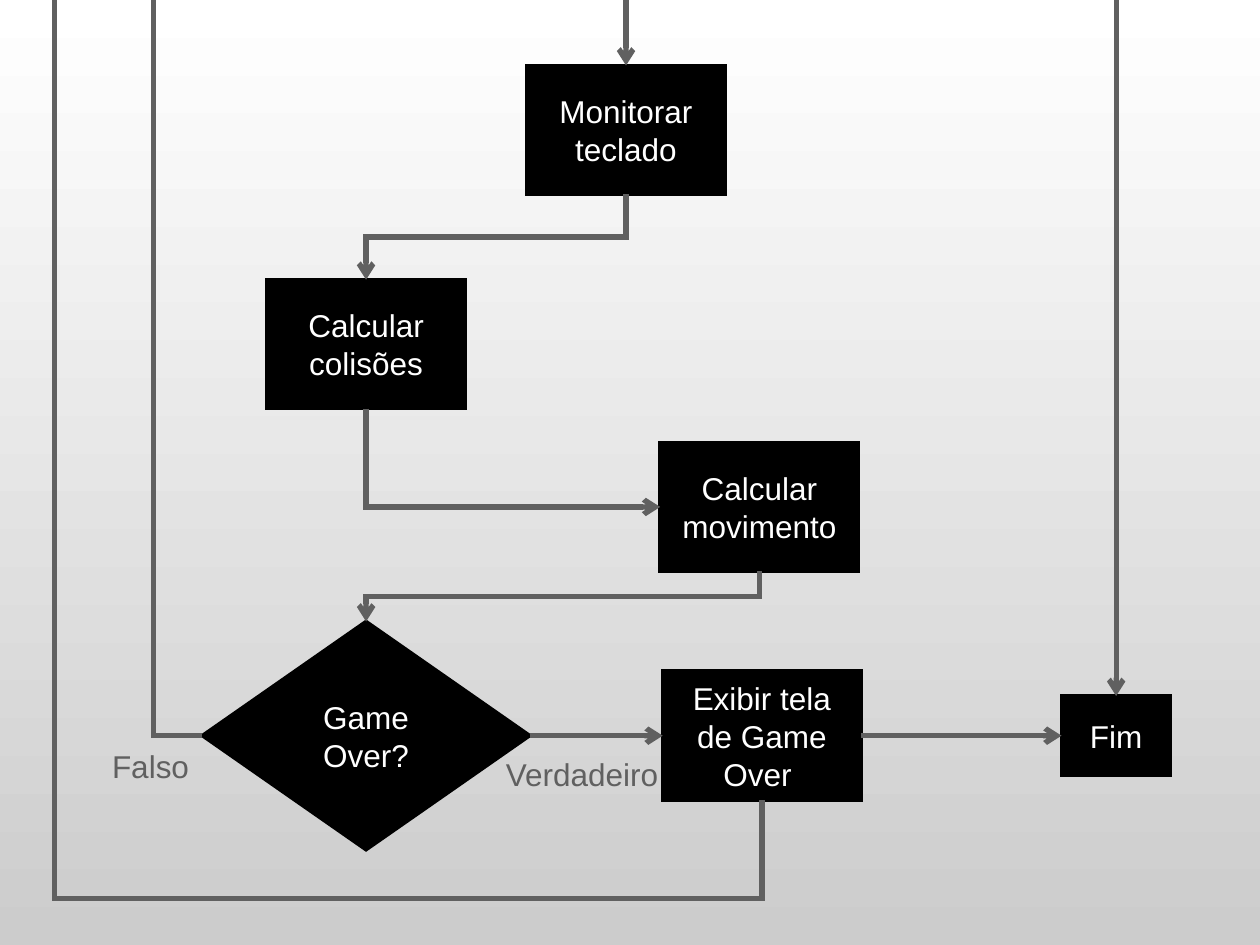
from collections import namedtuple

from lxml.etree import SubElement
from pptx import Presentation
from pptx.dml.color import RGBColor
from pptx.enum.shapes import MSO_CONNECTOR as LINK, MSO_SHAPE as SHAPE
from pptx.enum.text import (MSO_ANCHOR as ANCHOR, MSO_AUTO_SIZE as FIT,
                            PP_ALIGN as ALIGN)
from pptx.oxml.ns import qn
from pptx.util import Cm, Pt

COLORS = {"node": "000000", "node_text": "FFFFFF", "link": "606060",
          "page_top": "FFFFFF", "page_bottom": "CCCCCC"}
FONT, TEXT_SIZE = "Arial", 18

# Edge midpoints of a node, as (x, y) in centimetres
Ports = namedtuple("Ports", "top bottom left right")


def color(name):
    """Return a palette colour."""
    return RGBColor.from_string(COLORS[name])


def paint_background(page):
    """Fill the page with a gradient running from top to bottom."""
    fill = page.background.fill
    fill.gradient()
    fill.gradient_angle = 270
    for stop, name in zip(fill.gradient_stops, ("page_top", "page_bottom")):
        stop.color.rgb = color(name)


def add_text(box, text, color_name, align):
    """Write one formatted run into a shape."""
    para = box.text_frame.paragraphs[0]
    para.alignment = align
    span = para.add_run()
    span.text = text
    span.font.name = FONT
    span.font.size = Pt(TEXT_SIZE)
    span.font.color.rgb = color(color_name)


def style_stroke(item, color_name, points):
    """Give an outline its colour, width and sharp corners."""
    item.line.color.rgb = color(color_name)
    item.line.width = Pt(points)
    stroke = item.element.spPr.find(qn("a:ln"))
    SubElement(stroke, qn("a:miter"), lim="800000")
    return stroke


def add_node(page, text, x, y, width=4, height=2.6, kind=SHAPE.RECTANGLE):
    """Draw a flowchart node centred on x, y and return its ports."""
    left, top = x - width / 2, y - height / 2
    box = page.shapes.add_shape(kind, Cm(left), Cm(top), Cm(width), Cm(height))
    box.shadow.inherit = False
    box.fill.solid()
    box.fill.fore_color.rgb = color("node")
    style_stroke(box, "node", 2)
    box.text_frame.word_wrap = True
    box.text_frame.vertical_anchor = ANCHOR.MIDDLE
    add_text(box, text, "node_text", ALIGN.CENTER)
    return Ports((x, top), (x, top + height), (left, y), (left + width, y))


def add_label(page, text, left, top, width):
    """Add a one-line caption for a branch of the decision."""
    box = page.shapes.add_textbox(Cm(left), Cm(top), Cm(width), Cm(1.02))
    box.text_frame.word_wrap = False
    box.text_frame.auto_size = FIT.SHAPE_TO_FIT_TEXT
    add_text(box, text, "link", ALIGN.LEFT)


def style_link(link, arrow):
    """Give a connector its stroke and, if asked, an arrowhead."""
    stroke = style_stroke(link, "link", 3)
    if arrow:
        SubElement(stroke, qn("a:tailEnd"), type="arrow")
    SubElement(link.element.spPr, qn("a:effectLst"))


def add_straight(page, start, end):
    """Draw a straight arrow."""
    ends = [Cm(value) for value in (*start, *end)]
    style_link(page.shapes.add_connector(LINK.STRAIGHT, *ends), True)


def add_elbow(page, start, end, turn, flip=None, bend=None, arrow=True):
    """Draw an elbow turned by 90, 180 or 270 degrees.

    bend is the place of the middle segment; without it there is one corner.
    """
    width, height = abs(end[0] - start[0]), abs(end[1] - start[1])
    if turn != 180:
        width, height = height, width
    x, y = (start[0] + end[0]) / 2, (start[1] + end[1]) / 2
    link = page.shapes.add_connector(
        LINK.ELBOW, Cm(x - width / 2), Cm(y - height / 2),
        Cm(x + width / 2), Cm(y + height / 2))
    frame = link.element.spPr.find(qn("a:xfrm"))
    frame.set("rot", str(turn * 60000))
    if flip:
        frame.set(flip, "1")
    geometry = link.element.spPr.find(qn("a:prstGeom"))
    if bend is None:
        geometry.set("prst", "bentConnector2")
    else:
        guides = geometry.find(qn("a:avLst"))
        if guides is None:
            guides = SubElement(geometry, qn("a:avLst"))
        SubElement(guides, qn("a:gd"), name="adj1",
                   fmla=f"val {round(bend * 100000)}")
    style_link(link, arrow)


def main():
    """Build the game loop flowchart."""
    deck = Presentation()
    deck.slide_width, deck.slide_height = Cm(25.4), Cm(19.05)
    page = deck.slides.add_slide(deck.slide_layouts[6])
    paint_background(page)

    row = 14.83
    movement = add_node(page, "Calcular movimento", 15.31, 10.22)
    collisions = add_node(page, "Calcular colisões", 7.38, 6.94)
    keyboard = add_node(page, "Monitorar teclado", 12.62, 2.62)
    game_over = add_node(page, "Exibir tela de Game Over ", 15.36, row)
    decision = add_node(page, "Game Over?", 7.38, row, 6.6, 4.6,
                        SHAPE.FLOWCHART_DECISION)
    finish = add_node(page, "Fim", 22.5, row, 2.2, 1.6)

    for node in (finish, keyboard):
        add_straight(page, (node.top[0], 0), node.top)
    add_straight(page, decision.right, game_over.left)
    add_straight(page, game_over.right, finish.left)

    add_elbow(page, keyboard.bottom, collisions.top, 90, bend=0.5)
    add_elbow(page, collisions.bottom, movement.left, 270, "flipH")
    add_elbow(page, movement.bottom, decision.top, 90, bend=0.5)
    add_elbow(page, decision.left, (3.1, 0), 180, arrow=False)
    drop = 18.11 - game_over.bottom[1]
    add_elbow(page, game_over.bottom, (1.1, 0), 270, "flipV",
              bend=-drop / game_over.bottom[1], arrow=False)

    add_label(page, "Verdadeiro", 9.95, 15.1, 3.62)
    add_label(page, "Falso", 2.01, 14.94, 2.1)
    deck.save("out.pptx")


main()
